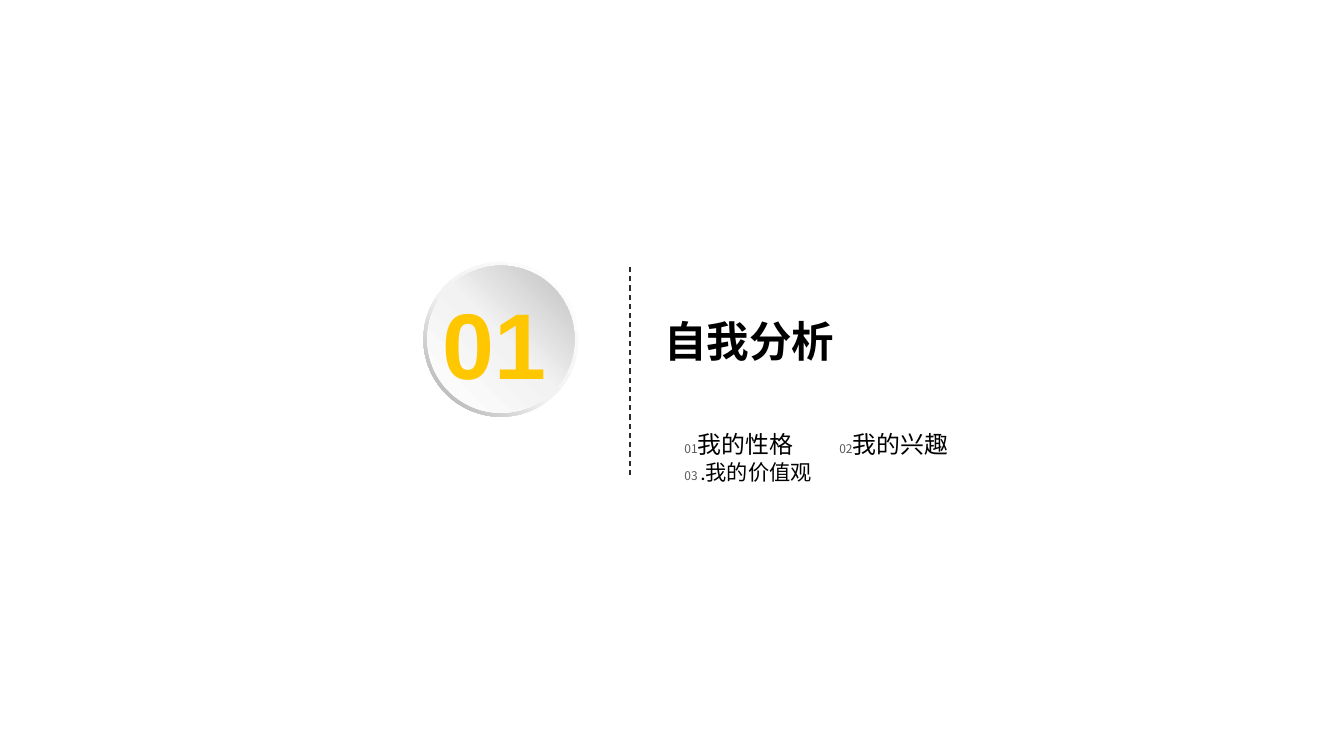
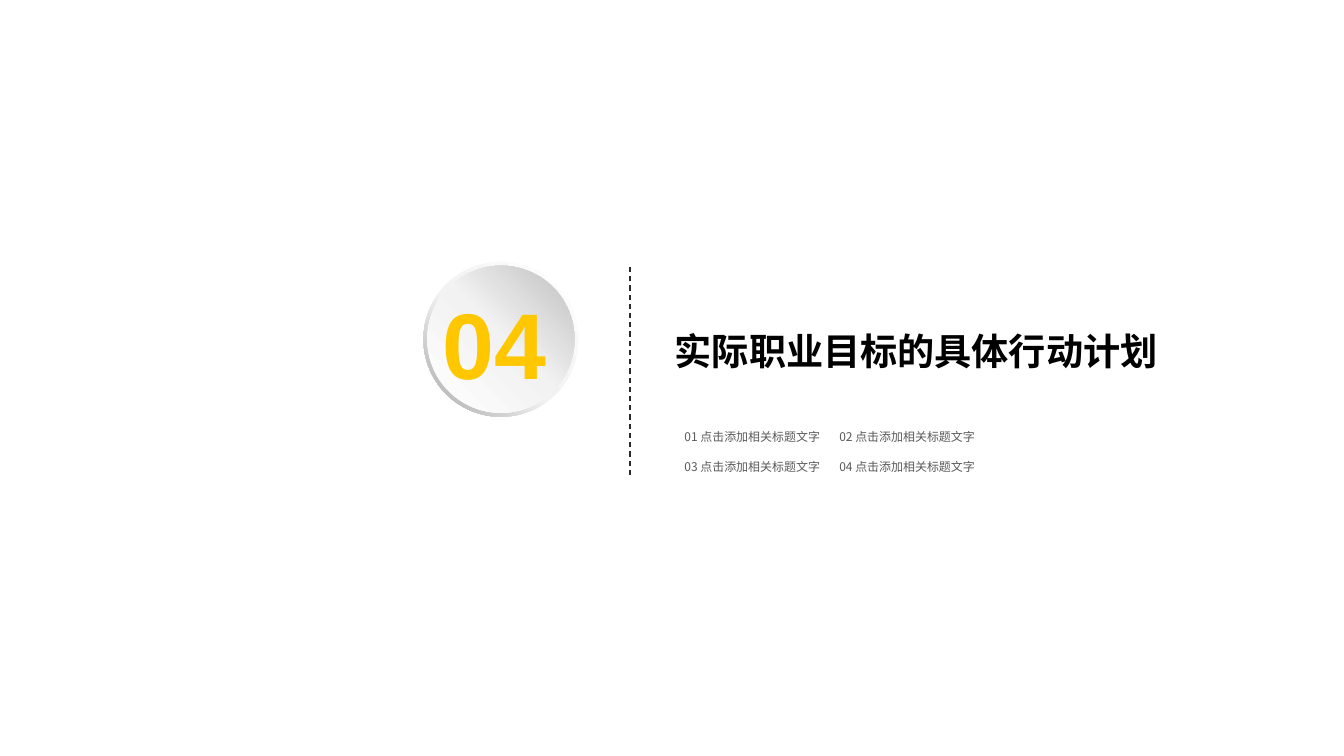
from copy import deepcopy
from pptx import Presentation
from pptx.dml.color import RGBColor
from pptx.enum.dml import MSO_LINE
from pptx.enum.shapes import MSO_CONNECTOR, MSO_SHAPE
from pptx.enum.text import MSO_ANCHOR, MSO_AUTO_SIZE, PP_ALIGN
from pptx.oxml.ns import qn
from pptx.util import Inches, Pt
from lxml import etree

COLORS = {"number": "FFC700", "title": "000000", "label": "595959", "divider": "2A2A2A"}
HEADING, DIGITS, CJK = "Calibri", "Arial", "Noto Sans CJK SC"

# Circle layers: preset, left, top, size, angle (counterclockwise), gradient stops
LAYERS = [
    (MSO_SHAPE.DONUT, 4.43, 2.74, 1.62, 225, [(0, "FFFFFF"), (0.55, "F2F2F2"), (1, "A6A6A6")]),
    (MSO_SHAPE.OVAL, 4.47, 2.78, 1.54, 45, [(0, "FFFFFF"), (0.51, "F2F2F2"), (1, "BFBFBF")]),
]

# Grid of section items
COLUMNS = [(7.07, 1.64), (8.69, 1.71)]
ITEM_TOP, ITEM_PITCH = 4.45, 0.31

# Each item is a list of (text, font, size, colour) runs
PLACEHOLDER_ITEM = "点击添加相关标题文字"
SECTIONS = [
    {"number": "01", "title": "自我分析", "size": 32, "left": 6.95, "middle": 3.56,
     "items": [
         [("01", CJK, 9, "label"), ("我的性格", HEADING, 18, "title")],
         [("02", CJK, 9, "label"), ("我的兴趣", HEADING, 18, "title")],
         [("03 ", CJK, 9, "label"), (".我的价值观", HEADING, 16, "title")],
     ]},
    {"number": "04", "title": "实际职业目标的具体行动计划", "size": 28, "left": 7.06, "middle": 3.67,
     "items": [[(f"0{n} {PLACEHOLDER_ITEM}", CJK, 9, "label")] for n in range(1, 5)]},
]


def set_frame(frame, side=0, edge=0):
    frame.word_wrap = True
    frame.auto_size = MSO_AUTO_SIZE.NONE
    frame.margin_left = frame.margin_right = Inches(side)
    frame.margin_top = frame.margin_bottom = Inches(edge)


def add_run(paragraph, text, font, size, color, bold=False):
    run = paragraph.add_run()
    run.text = text
    run.font.name, run.font.size, run.font.bold = font, Pt(size), bold
    run.font.color.rgb = RGBColor.from_string(COLORS[color])
    latin = run.font._element.find(qn("a:latin"))
    east_asian = etree.Element(qn("a:ea"), typeface=CJK)
    latin.addnext(east_asian)


prs = Presentation()
prs.slide_width, prs.slide_height = Inches(14.06), Inches(7.91)

for section in SECTIONS:
    slide = prs.slides.add_slide(prs.slide_layouts[5])
    shapes = slide.shapes

    # Title
    title = shapes.title
    title_height = 0.8
    title.left, title.top = Inches(section["left"]), Inches(section["middle"] - title_height / 2)
    title.width, title.height = Inches(5.6), Inches(title_height)
    set_frame(title.text_frame)
    title.text_frame.vertical_anchor = MSO_ANCHOR.MIDDLE
    heading = title.text_frame.paragraphs[0]
    heading.alignment = PP_ALIGN.LEFT
    add_run(heading, section["title"], HEADING, section["size"], "title", bold=True)

    # Dashed divider
    divider = shapes.add_connector(MSO_CONNECTOR.STRAIGHT, Inches(6.59), Inches(4.97),
                                   Inches(6.59), Inches(2.78))
    divider.line.color.rgb = RGBColor.from_string(COLORS["divider"])
    divider.line.width = Pt(1)
    divider.line.dash_style = MSO_LINE.DASH
    etree.SubElement(divider._element.spPr, qn("a:effectLst"))

    # Raised circle: rim and face
    circle = shapes.add_group_shape()
    for preset, left, top, size, angle, stops in LAYERS:
        layer = circle.shapes.add_shape(preset, Inches(left), Inches(top), Inches(size), Inches(size))
        if preset == MSO_SHAPE.DONUT:
            layer.adjustments[0] = 0.049
        layer.shadow.inherit = False
        layer.line.fill.background()
        layer.fill.gradient()
        layer.fill.gradient_angle = angle
        stop_list = layer._element.spPr.find(qn("a:gradFill")).find(qn("a:gsLst"))
        stop_list.append(deepcopy(stop_list[0]))
        for stop, (position, color) in zip(layer.fill.gradient_stops, stops):
            stop.position = position
            stop.color.rgb = RGBColor.from_string(color)

    # Section items, two per row
    for index, runs in enumerate(section["items"]):
        row, column = divmod(index, 2)
        left, width = COLUMNS[column]
        item = shapes.add_textbox(Inches(left), Inches(ITEM_TOP + row * ITEM_PITCH),
                                  Inches(width), Inches(0.36))
        set_frame(item.text_frame, 0.09, 0.05)
        for run in runs:
            add_run(item.text_frame.paragraphs[0], *run)

    # Section number
    number = shapes.add_textbox(Inches(4.63), Inches(2.99), Inches(1.39), Inches(1.18))
    set_frame(number.text_frame)
    add_run(number.text_frame.paragraphs[0], section["number"], DIGITS, 70.3, "number", bold=True)

prs.save("out.pptx")
